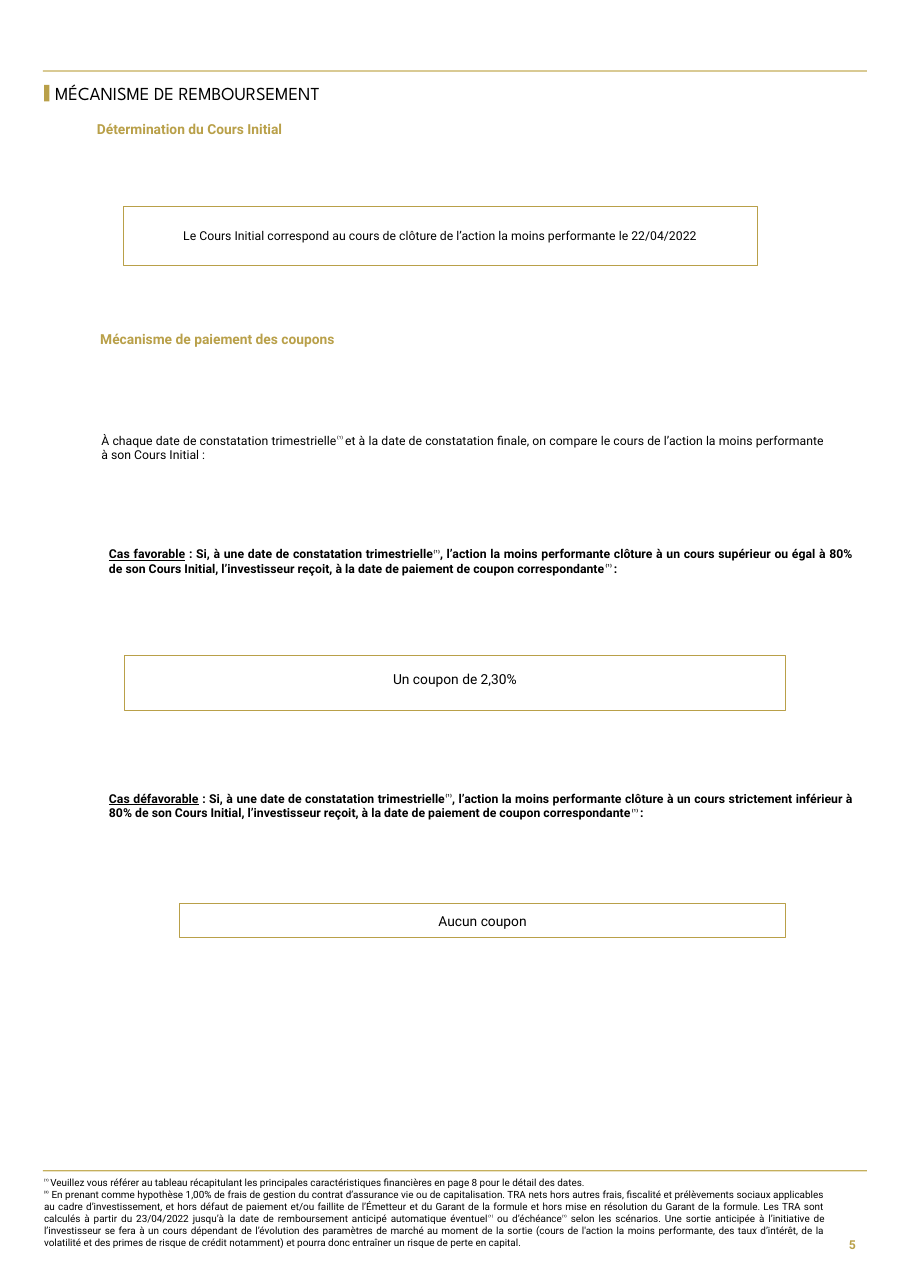
from pptx import Presentation
from pptx.dml.color import RGBColor
from pptx.enum.shapes import MSO_SHAPE
from pptx.enum.text import MSO_ANCHOR as Anchor, PP_ALIGN as Align
from pptx.util import Inches, Pt

PAGE_W, PAGE_H = Inches(8.27), Inches(11.69)
GOLD, PALE_GOLD, BLACK, WHITE = "B9A049", "C5AF5C", "000000", "FFFFFF"
BODY_FONT, TITLE_FONT = "Roboto", "League Spartan"
MARGIN, RULE_W = 4.84, 90.45
NOTE_1, NOTE_1_SPACED, NOTE_2 = ("⁽¹⁾", "raised"), ("⁽¹⁾ ", "raised"), ("⁽²⁾", "raised")

FOOTNOTES = [
    [NOTE_1_SPACED,
     ("Veuillez vous référer au tableau récapitulant les principales caractéristiques "
      "financières en page 8 pour le détail des dates. ", "")],
    [NOTE_2,
     (" En prenant comme hypothèse 1,00% de frais de gestion du contrat d’assurance vie ou de "
      "capitalisation. TRA nets hors autres frais, fiscalité et prélèvements sociaux applicables "
      "au cadre d’investissement, et hors défaut de paiement et/ou faillite de l’Émetteur et du "
      "Garant de la formule et hors mise en résolution du Garant de la formule. Les TRA sont "
      "calculés à partir du 23/04/2022 jusqu’à la date de remboursement anticipé automatique "
      "éventuel", ""),
     NOTE_1, (" ou d’échéance", ""), NOTE_1,
     (" selon les scénarios. Une sortie anticipée à l’initiative de l’investisseur se fera à un "
      "cours dépendant de l’évolution des paramètres de marché au moment de la sortie (cours de "
      "l'action la moins performante, des taux d’intérêt, de la volatilité et des primes de "
      "risque de crédit notamment) et pourra donc entraîner un risque de perte en capital.", "")],
]
INTRO = [
    ("À chaque date de constatation trimestrielle", ""), NOTE_1_SPACED,
    ("et à la date de constatation finale, on compare le cours de l’action la moins performante "
     "à son Cours Initial :", ""),
]


def color(hex_value):
    return RGBColor.from_string(hex_value)


def area(left, top, width, height):
    """Turn percentages of the page into left, top, width and height."""
    return [round(PAGE_W * left / 100), round(PAGE_H * top / 100),
            round(PAGE_W * width / 100), round(PAGE_H * height / 100)]


def write(frame, paragraphs, size, align=Align.LEFT, ink=BLACK, bold=False,
          font=BODY_FONT, anchor=Anchor.TOP, spacing=1.0):
    """Fill a frame with paragraphs, each a list of (text, style) runs."""
    frame.word_wrap = True
    frame.vertical_anchor = anchor
    frame.margin_left = frame.margin_right = frame.margin_top = frame.margin_bottom = 0
    for index, pieces in enumerate(paragraphs):
        paragraph = frame.paragraphs[0] if index == 0 else frame.add_paragraph()
        paragraph.alignment = align
        paragraph.line_spacing = spacing
        paragraph.space_before = Pt(0)
        for text, style in pieces:
            run = paragraph.add_run()
            run.text = text
            run.font.name, run.font.size, run.font.bold = font, Pt(size), bold
            run.font.color.rgb = color(ink)
            if style == "underlined":
                run.font.underline = True
            elif style == "raised":
                run._r.get_or_add_rPr().set("baseline", "30000")


def add_text(slide, place, paragraphs, size, **style):
    write(slide.shapes.add_textbox(*area(*place)).text_frame, paragraphs, size, **style)


def add_heading(slide, place, text):
    add_text(slide, place, [[(text, "")]], 9, ink=GOLD, bold=True)


def add_bar(slide, place, fill):
    bar = slide.shapes.add_shape(MSO_SHAPE.RECTANGLE, *area(*place))
    bar.shadow.inherit = False
    bar.fill.solid()
    bar.fill.fore_color.rgb = color(fill)
    bar.line.fill.background()


def add_result(slide, place, text, size=9, border=0.75, top_gap=None, **style):
    """Add a gold-bordered box; top_gap hangs its text that far below the top edge."""
    box = slide.shapes.add_shape(MSO_SHAPE.RECTANGLE, *area(*place))
    box.shadow.inherit = False
    box.fill.solid()
    box.fill.fore_color.rgb = color(WHITE)
    box.line.color.rgb = color(GOLD)
    box.line.width = Pt(border)
    anchor = Anchor.MIDDLE if top_gap is None else Anchor.TOP
    write(box.text_frame, [[(text, "")]], size, align=Align.CENTER, anchor=anchor, **style)
    if top_gap is not None:
        box.text_frame.margin_top = round(PAGE_H * top_gap / 100)


def add_case(slide, top, label, comparison):
    pieces = [
        (label, "underlined"),
        (" : Si, à une date de constatation trimestrielle", ""), NOTE_1,
        (f", l’action la moins performante clôture à un cours {comparison} à 80% de son Cours "
         "Initial, l’investisseur reçoit, à la date de paiement de coupon correspondante", ""),
        NOTE_1_SPACED, (": ", ""),
    ]
    add_text(slide, (11.97, top, 81.74, 2.31), [pieces], 8, align=Align.JUSTIFY, bold=True)


def add_title(slide, place, text):
    title = slide.shapes.title
    title.left, title.top, title.width, title.height = area(*place)
    write(title.text_frame, [[(text, "")]], 12, font=TITLE_FONT,
          anchor=Anchor.MIDDLE, spacing=0.9)


def main():
    deck = Presentation()
    deck.slide_width, deck.slide_height = PAGE_W, PAGE_H
    slide = deck.slides.add_slide(deck.slide_layouts[5])

    for rule_top in (5.47, 90.85):
        add_bar(slide, (4.72, rule_top, RULE_W, 0.09), PALE_GOLD)
    add_bar(slide, (MARGIN, 6.59, 0.6, 1.28), GOLD)
    add_title(slide, (6.05, 6.24, 50.91, 2.14), "MÉCANISME DE REMBOURSEMENT")

    add_heading(slide, (10.64, 9.41, 35.91, 1.54), "Détermination du Cours Initial")
    add_result(slide, (13.54, 16, 69.65, 4.62),
               "Le Cours Initial correspond au cours de clôture de l’action la moins "
               "performante le 22/04/2022", size=8, border=0.5)

    add_heading(slide, (11, 25.66, 79.44, 1.45), "Mécanisme de paiement des coupons")
    add_text(slide, (11.12, 33.62, 79.44, 2.22), [INTRO], 8, align=Align.JUSTIFY)
    add_case(slide, 42.43, "Cas favorable", "supérieur ou égal")
    add_result(slide, (13.66, 50.9, 72.55, 4.28), "Un coupon de 2,30%",
               top_gap=1.28, spacing=0.9)
    add_case(slide, 61.42, "Cas défavorable", "strictement inférieur")
    add_result(slide, (19.71, 70.15, 66.51, 2.65), "Aucun coupon")

    add_text(slide, (MARGIN, 91.36, 85.73, 5.65), FOOTNOTES, 6.5, align=Align.JUSTIFY)
    add_text(slide, (90.45, 94.87, 3.51, 3.59), [[("5", "")]], 8, align=Align.RIGHT,
             ink=GOLD, bold=True, anchor=Anchor.MIDDLE)
    deck.save("out.pptx")


if __name__ == "__main__":
    main()
